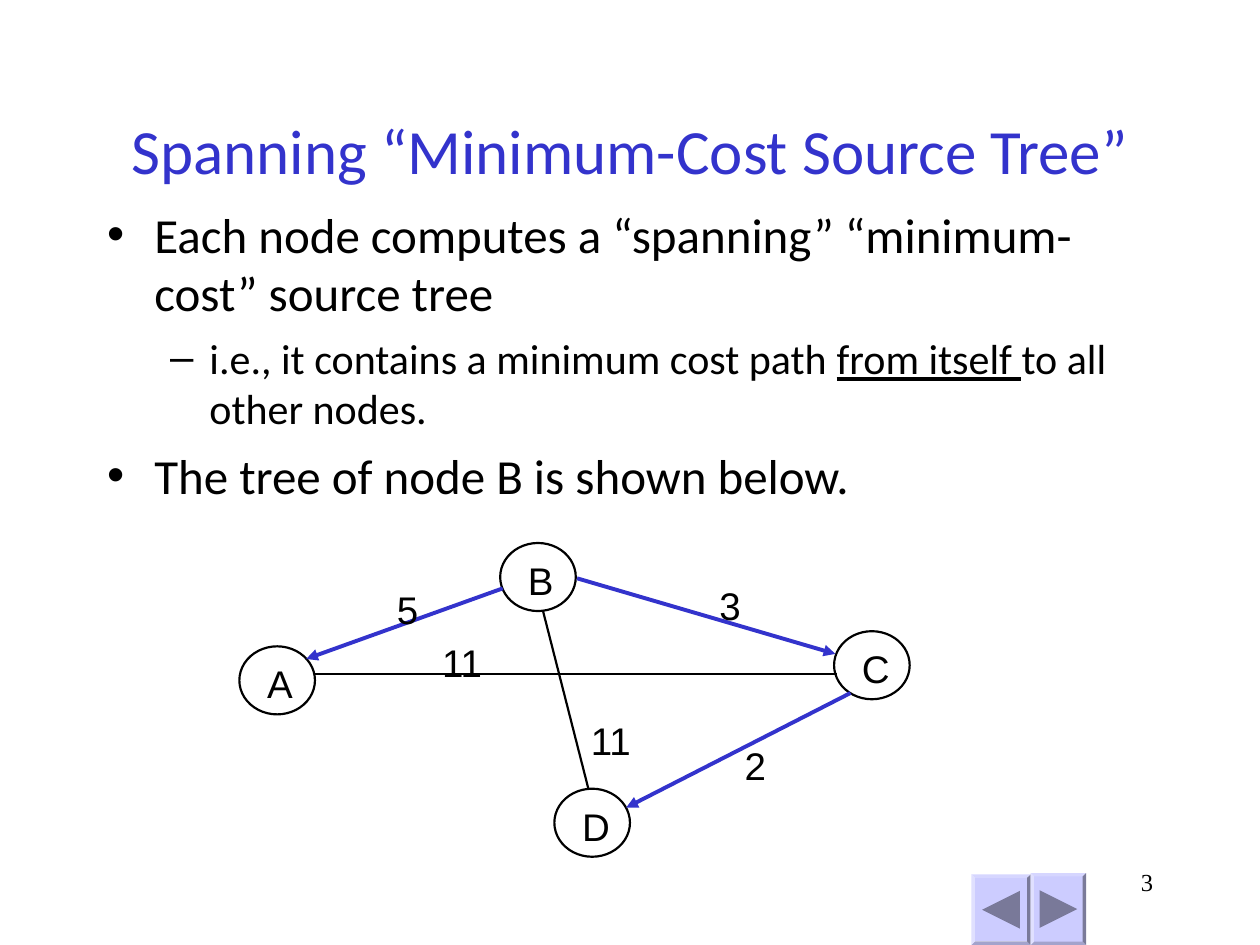
from typing import NamedTuple

import pptx
import pptx.dml.color
import pptx.enum.dml
import pptx.enum.shapes
import pptx.enum.text
import pptx.oxml
import pptx.oxml.ns
import pptx.util

Inches, Pt = pptx.util.Inches, pptx.util.Pt
SHAPE = pptx.enum.shapes.MSO_SHAPE
ALIGN = pptx.enum.text.PP_ALIGN
BLACK, BLUE, LILAC, SLATE = "000000", "3333CC", "CCCCFF", "797999"
NODE_W, NODE_H = 0.6, 0.54


class Node(NamedTuple):
    name: str
    x: float
    y: float


class Edge(NamedTuple):
    x1: float
    y1: float
    x2: float
    y2: float
    in_tree: bool


class Label(NamedTuple):
    text: str
    x: float
    y: float


class Button(NamedTuple):
    x: float
    y: float
    w: float
    h: float
    rotation: int


NODES = [Node("D", 4.4, 6.26), Node("A", 1.9, 5.13),
         Node("B", 3.97, 4.31), Node("C", 6.62, 5.01)]
EDGES = [
    Edge(3.99, 4.67, 2.43, 5.23, True),
    Edge(4.58, 4.59, 6.63, 5.19, True),
    Edge(2.49, 5.35, 6.64, 5.35, False),
    Edge(4.31, 4.85, 4.67, 6.26, False),
    Edge(6.75, 5.5, 4.97, 6.41, True),
]
COSTS = [Label("5", 3.15, 4.65), Label("3", 5.71, 4.62), Label("2", 5.91, 5.89),
         Label("11", 4.69, 5.69), Label("11", 3.51, 5.07)]
BUTTONS = [Button(7.71, 6.94, 0.47, 0.56, 270), Button(8.18, 6.93, 0.44, 0.57, 90)]


def rgb(color: str) -> pptx.dml.color.RGBColor:
    return pptx.dml.color.RGBColor.from_string(color)


def box(x: float, y: float, w: float, h: float) -> tuple:
    return Inches(x), Inches(y), Inches(w), Inches(h)


def place(sp, x: float, y: float, w: float, h: float) -> None:
    sp.left, sp.top, sp.width, sp.height = box(x, y, w, h)


def format_runs(p, font: str, size: int, color: str) -> None:
    for r in p.runs:
        r.font.name, r.font.size = font, Pt(size)
        r.font.color.rgb = rgb(color)


def add_label(s, label: Label) -> None:
    sp = s.shapes.add_textbox(*box(label.x, label.y, 0.17 * len(label.text), 0.37))
    tf = sp.text_frame
    tf.margin_left = tf.margin_right = tf.margin_top = tf.margin_bottom = 0
    tf.word_wrap = False
    tf.text = label.text
    format_runs(tf.paragraphs[0], "Arial", 22, BLACK)


def add_node(s, node: Node) -> None:
    add_label(s, Label(node.name, node.x + 0.22, node.y + 0.11))
    sp = s.shapes.add_shape(SHAPE.OVAL, *box(node.x, node.y, NODE_W, NODE_H))
    sp.shadow.inherit = False
    sp.fill.background()
    sp.line.color.rgb = rgb(BLACK)
    sp.line.width = Pt(1.25)


def add_edge(s, edge: Edge) -> None:
    ends = [Inches(v) for v in edge[:4]]
    cn = s.shapes.add_connector(pptx.enum.shapes.MSO_CONNECTOR.STRAIGHT, *ends)
    cn.line.color.rgb = rgb(BLUE if edge.in_tree else BLACK)
    cn.line.width = Pt(2.25 if edge.in_tree else 1.25)
    qn = pptx.oxml.ns.qn
    if edge.in_tree:
        ln = cn.line._get_or_add_ln()
        ln.append(ln.makeelement(qn("a:tailEnd"), {"type": "triangle"}))
    sp_pr = cn._element.spPr
    sp_pr.append(sp_pr.makeelement(qn("a:effectLst"), {}))


def add_filled(s, kind, color: str, *bounds: float):
    sp = s.shapes.add_shape(kind, *box(*bounds))
    sp.shadow.inherit = False
    sp.fill.solid()
    sp.fill.fore_color.rgb = rgb(color)
    sp.line.fill.background()
    return sp


def add_button(s, b: Button) -> None:
    bevel = add_filled(s, SHAPE.BEVEL, LILAC, b.x, b.y, b.w, b.h)
    bevel.adjustments[0] = 0.06
    side = 0.3
    arrow = add_filled(s, SHAPE.ISOSCELES_TRIANGLE, SLATE,
                       b.x + (b.w - side) / 2, b.y + (b.h - side) / 2, side, side)
    arrow.rotation = b.rotation


def main() -> None:
    prs = pptx.Presentation()
    prs.slide_width, prs.slide_height = Inches(10), Inches(7.5)
    s = prs.slides.add_slide(prs.slide_layouts[1])

    # Navigation buttons and page number
    for button in BUTTONS:
        add_button(s, button)
    tf = s.shapes.add_textbox(*box(7.17, 6.83, 2.08, 0.5)).text_frame
    tf.word_wrap = True
    tf.text = "3"
    tf.paragraphs[0].alignment = ALIGN.RIGHT
    format_runs(tf.paragraphs[0], "Times New Roman", 14, BLACK)

    # Title
    title = s.shapes.title
    place(title, 0.75, 0.56, 8.5, 1.25)
    tf = title.text_frame
    tf.text = "Spanning “Minimum-Cost Source Tree”"
    tf.auto_size = pptx.enum.text.MSO_AUTO_SIZE.NONE
    tf.vertical_anchor = pptx.enum.text.MSO_ANCHOR.MIDDLE
    tf.paragraphs[0].alignment = ALIGN.CENTER
    format_runs(tf.paragraphs[0], "Calibri", 36, BLUE)

    # Bullet list: level and runs, with the underlined run in second place
    body = s.placeholders[1]
    place(body, 0.75, 1.57, 8.5, 2.61)
    tf = body.text_frame
    tf.auto_size = pptx.enum.text.MSO_AUTO_SIZE.NONE
    bullets = [
        (0, ["Each node computes a “spanning” “minimum-cost” source tree"]),
        (1, ["i.e., it contains a minimum cost path ", "from itself ",
             "to all other nodes."]),
        (0, ["The tree of node B is shown below."]),
    ]
    for i, (level, parts) in enumerate(bullets):
        p = tf.paragraphs[0] if i == 0 else tf.add_paragraph()
        p.level = level
        p.space_before = Pt(6 if level else 7)
        for j, part in enumerate(parts):
            r = p.add_run()
            r.text = part
            if j == 1:
                r.font.underline = True
        format_runs(p, "Calibri", 24 if level else 28, BLACK)

    # Network graph
    for node in NODES:
        add_node(s, node)
    for edge in EDGES:
        add_edge(s, edge)
    for cost in COSTS:
        add_label(s, cost)

    prs.save("out.pptx")


if __name__ == "__main__":
    main()
